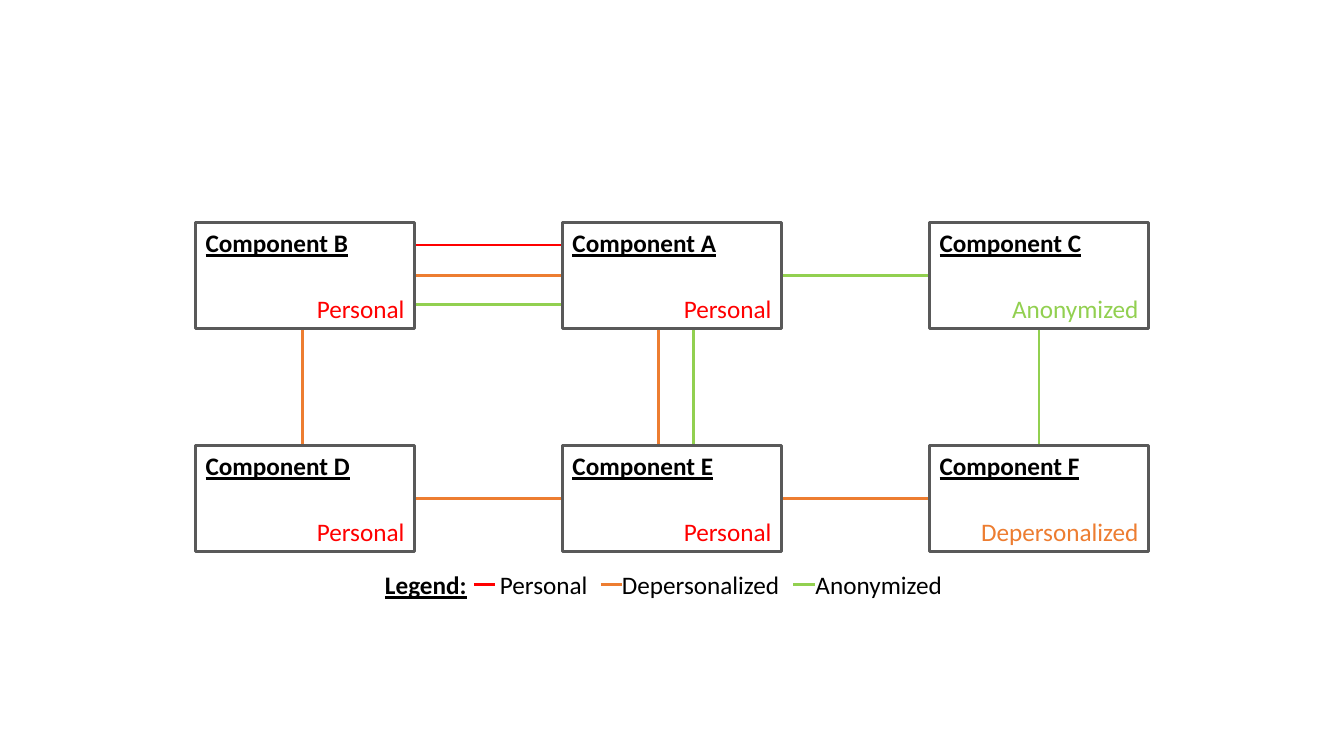
from dataclasses import dataclass

import lxml.etree
import pptx
import pptx.dml.color
import pptx.enum.shapes
import pptx.enum.text
import pptx.oxml.ns
import pptx.slide
import pptx.text.text
import pptx.util

RGBColor = pptx.dml.color.RGBColor
RED = RGBColor(0xFF, 0x00, 0x00)
ORANGE = RGBColor(0xED, 0x7D, 0x31)
GREEN = RGBColor(0x92, 0xD0, 0x50)
GREY = RGBColor(0x59, 0x59, 0x59)
BLACK = RGBColor(0x00, 0x00, 0x00)
LEVELS = {"Personal": RED, "Depersonalized": ORANGE, "Anonymized": GREEN}

LEFT, TOP = 1.94, 2.21
COL, ROW = 3.64, 2.21
BOX_W, BOX_H = 2.17, 1.05
TEXT_H = 0.4
LABEL_DROP = 0.65
LEGEND_Y = 5.6
SWATCH_W = 0.21
SWATCH_X = (4.7, 5.96, 7.87)
ENTRY_X = (4.96, 6.17, 8.09)
INSET = 0.1

PLAIN = {"name": "Calibri", "size": pptx.util.Pt(18)}
HEADING = {**PLAIN, "bold": True, "underline": True}


@dataclass(frozen=True)
class Component:
    name: str
    col: int
    row: int
    level: str


@dataclass(frozen=True)
class Link:
    col: int
    row: int
    across: bool
    share: float
    level: str


COMPONENTS = [
    Component("Component B", 0, 0, "Personal"),
    Component("Component A", 1, 0, "Personal"),
    Component("Component C", 2, 0, "Anonymized"),
    Component("Component D", 0, 1, "Personal"),
    Component("Component E", 1, 1, "Personal"),
    Component("Component F", 2, 1, "Depersonalized"),
]

LINKS = [
    Link(0, 0, True, 0.21, "Personal"),
    Link(0, 0, True, 0.5, "Depersonalized"),
    Link(0, 0, True, 0.77, "Anonymized"),
    Link(1, 0, True, 0.5, "Anonymized"),
    Link(0, 1, True, 0.5, "Depersonalized"),
    Link(1, 1, True, 0.5, "Depersonalized"),
    Link(0, 0, False, 0.49, "Depersonalized"),
    Link(1, 0, False, 0.44, "Depersonalized"),
    Link(1, 0, False, 0.6, "Anonymized"),
    Link(2, 0, False, 0.5, "Anonymized"),
]


def cell(col: int, row: int) -> tuple[float, float]:
    return LEFT + col * COL, TOP + row * ROW


def add_line(s: pptx.slide.Slide, x1: float, y1: float, x2: float, y2: float,
             color: RGBColor) -> None:
    ends = [pptx.util.Inches(v) for v in (x1, y1, x2, y2)]
    c = s.shapes.add_connector(pptx.enum.shapes.MSO_CONNECTOR.STRAIGHT, *ends)
    c.line.color.rgb = color
    c.line.width = pptx.util.Pt(2)
    lxml.etree.SubElement(c._element.spPr, pptx.oxml.ns.qn("a:effectLst"))


def add_text(s: pptx.slide.Slide, x: float, y: float, w: float, text: str,
             fmt: dict, color: RGBColor = BLACK,
             right: bool = False) -> pptx.text.text._Paragraph:
    box = [pptx.util.Inches(v) for v in (x, y, w, TEXT_H)]
    tf = s.shapes.add_textbox(*box).text_frame
    tf.word_wrap = True
    p = tf.paragraphs[0]
    if right:
        p.alignment = pptx.enum.text.PP_ALIGN.RIGHT
    r = p.add_run()
    r.text = text
    for key, value in fmt.items():
        setattr(r.font, key, value)
    r.font.color.rgb = color
    return p


def add_component(s: pptx.slide.Slide, comp: Component) -> None:
    x, y = cell(comp.col, comp.row)
    box = [pptx.util.Inches(v) for v in (x, y, BOX_W, BOX_H)]
    sp = s.shapes.add_shape(pptx.enum.shapes.MSO_SHAPE.RECTANGLE, *box)
    sp.shadow.inherit = False
    sp.fill.background()
    sp.line.color.rgb = GREY
    sp.line.width = pptx.util.Pt(2)
    add_text(s, x, y, BOX_W, comp.name, HEADING)
    add_text(s, x, y + LABEL_DROP, BOX_W, comp.level, PLAIN,
             LEVELS[comp.level], right=True)


def add_link(s: pptx.slide.Slide, link: Link) -> None:
    x, y = cell(link.col, link.row)
    color = LEVELS[link.level]
    if link.across:
        level_y = y + link.share * BOX_H
        add_line(s, x + BOX_W, level_y, x + COL, level_y, color)
    else:
        level_x = x + link.share * BOX_W
        add_line(s, level_x, y + BOX_H, level_x, y + ROW, color)


def add_legend(s: pptx.slide.Slide) -> None:
    add_text(s, 3.72, LEGEND_Y, 1.04, "Legend:", HEADING)
    p = add_text(s, ENTRY_X[0] - INSET, LEGEND_Y, 4.79, "\t".join(LEVELS), PLAIN)
    tabs = lxml.etree.SubElement(p._p.get_or_add_pPr(), pptx.oxml.ns.qn("a:tabLst"))
    for x in ENTRY_X[1:]:
        pos = pptx.util.Inches(x - ENTRY_X[0])
        lxml.etree.SubElement(tabs, pptx.oxml.ns.qn("a:tab"), pos=str(pos), algn="l")
    y = LEGEND_Y + TEXT_H / 2
    for x, color in zip(SWATCH_X, LEVELS.values()):
        add_line(s, x, y, x + SWATCH_W, y, color)


def main() -> None:
    prs = pptx.Presentation()
    prs.slide_width = pptx.util.Inches(13.33)
    prs.slide_height = pptx.util.Inches(7.5)
    s = prs.slides.add_slide(prs.slide_layouts[6])
    for link in LINKS:
        add_link(s, link)
    for comp in COMPONENTS:
        add_component(s, comp)
    add_legend(s)
    prs.save("out.pptx")


if __name__ == "__main__":
    main()
